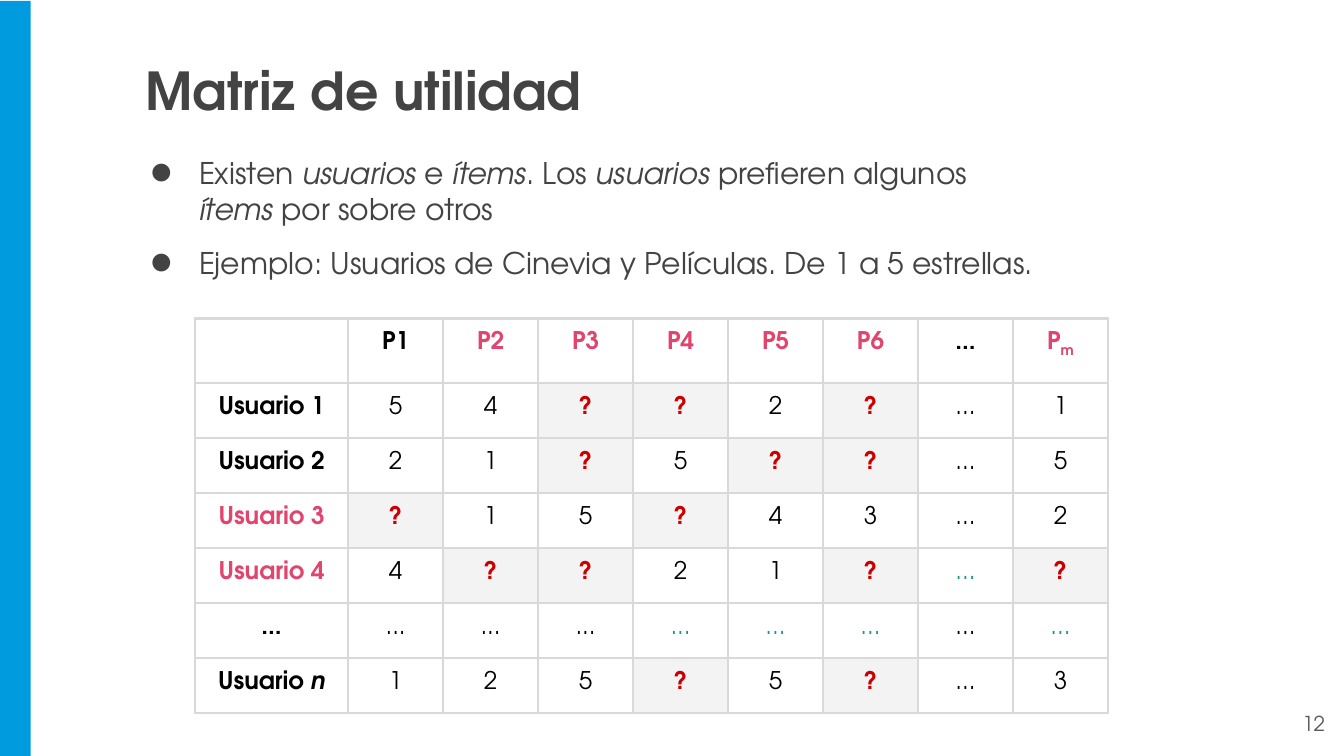
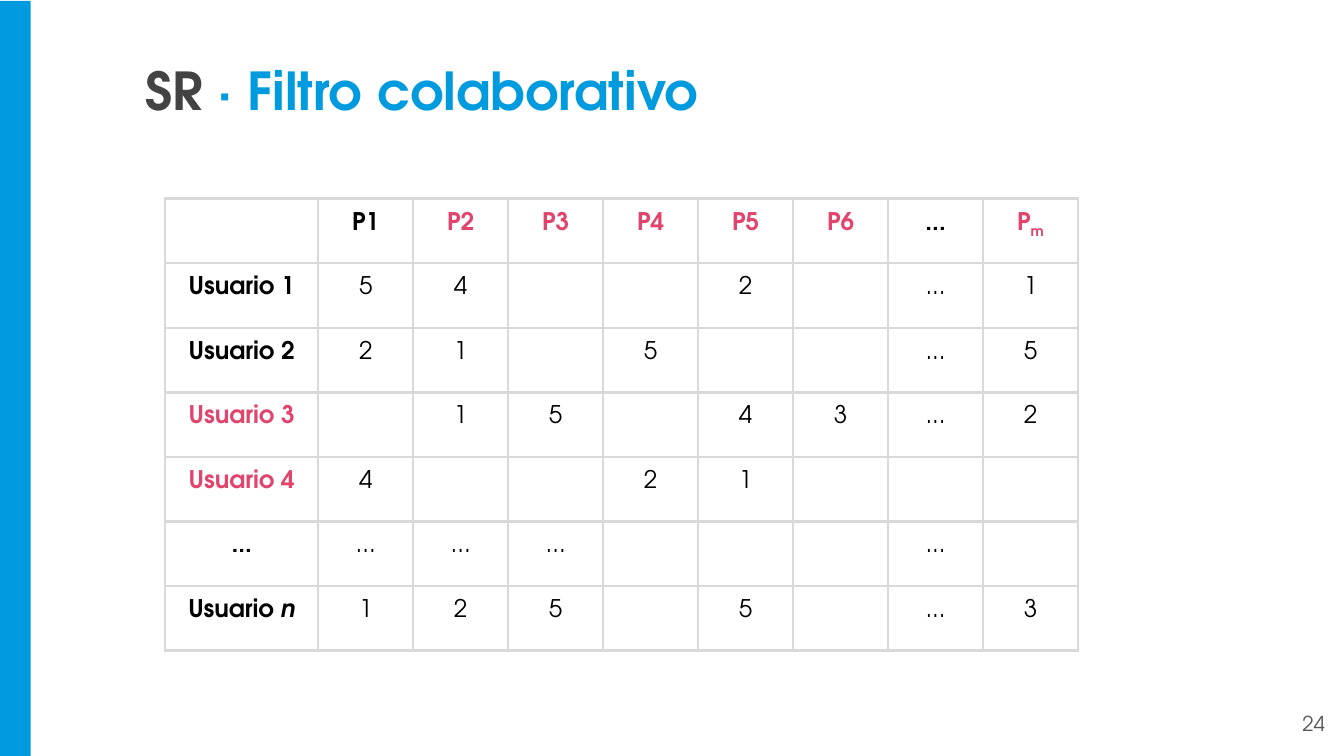
from dataclasses import dataclass

from lxml import etree
from pptx import Presentation
from pptx.dml.color import RGBColor
from pptx.enum import shapes, text
from pptx.oxml.ns import qn
from pptx.util import Pt


@dataclass(frozen=True)
class Theme:
    font: str = "TeX Gyre Adventor"
    blue: str = "009BDE"
    dark: str = "434343"
    grey: str = "595959"
    black: str = "000000"
    pink: str = "E1446D"
    red: str = "CC0000"
    teal: str = "1A9988"
    white: str = "FFFFFF"
    shade: str = "F3F3F3"
    border: str = "D9D9D9"
    title_size: int = 28
    body_size: int = 16
    cell_size: int = 13
    number_size: int = 11


theme = Theme()


def write(para, spans, size, color, bold=False):
    """Add (words, style) spans; style may hold color, italic or baseline."""
    for words, style in spans:
        span = para.add_run()
        span.text = words
        span.font.name = theme.font
        span.font.size = Pt(size)
        span.font.bold = bold
        span.font.italic = style.get("italic", False)
        span.font.color.rgb = RGBColor.from_string(style.get("color", color))
        if "baseline" in style:
            span.font._element.set("baseline", str(style["baseline"]))


def place(box, left, top, width, height):
    """Position a text shape and give it the shared margins and anchor."""
    box.left, box.top, box.width, box.height = map(Pt, (left, top, width, height))
    frame = box.text_frame
    frame.margin_left = frame.margin_right = Pt(7.2)
    frame.margin_top = frame.margin_bottom = Pt(7.2)
    frame.word_wrap = True
    frame.auto_size = text.MSO_AUTO_SIZE.NONE
    frame.vertical_anchor = text.MSO_ANCHOR.TOP
    return frame


# Content
italic = {"italic": True}
bullets = [
    [("Existen ", {}), ("usuarios", italic), (" e ", {}), ("ítems", italic),
     (". Los ", {}), ("usuarios", italic), (" prefieren algunos ", {}),
     ("ítems", italic), (" por sobre otros", {})],
    [("Ejemplo: Usuarios de Cinevia y Películas. De 1 a 5 estrellas.", {})],
]
subscript_m = [("P", {}), ("m", {"baseline": -25000})]
products = [[(name, {})] for name in ("", "P1", "P2", "P3", "P4", "P5", "P6", "...")]
products.append(subscript_m)
users = [[(name, {})] for name in ("Usuario 1", "Usuario 2", "Usuario 3", "Usuario 4", "...")]
users.append([("Usuario ", {}), ("n", italic)])
pink_products, pink_users = (2, 3, 4, 5, 6, 8), (3, 4)

# "?" is an unknown rating, "~" an ellipsis over unknown ratings
ratings = [line.split() for line in (
    "5 4 ? ? 2 ? ... 1",
    "2 1 ? 5 ? ? ... 5",
    "? 1 5 ? 4 3 ... 2",
    "4 ? ? 2 1 ? ~ ?",
    "... ... ... ~ ~ ~ ... ~",
    "1 2 5 ? 5 ? ... 3",
)]
pages = [
    dict(layout=1, number="12", title=[("Matriz de utilidad", {})], bullets=bullets,
         table_at=(104.5, 170.6), row_heights=[34.6] + [29.5] * 6, show_unknown=True),
    dict(layout=5, number="24",
         title=[("SR ", {}), ("· Filtro colaborativo", {"color": theme.blue})], bullets=[],
         table_at=(88.5, 106.4), row_heights=[34.6] * 7, show_unknown=False),
]
column_widths = [82] + [50.9] * 8

deck = Presentation()
deck.slide_width, deck.slide_height = Pt(720), Pt(405)

for index, content in enumerate(pages):
    page = deck.slides.add_slide(deck.slide_layouts[content["layout"]])

    # The side band belongs to the master, so every page shows it
    if index == 0:
        band = page.shapes.add_shape(shapes.MSO_SHAPE.RECTANGLE, 0, Pt(0.5), Pt(16.5), Pt(404.5))
        band.shadow.inherit = False
        band.fill.solid()
        band.fill.fore_color.rgb = RGBColor.from_string(theme.blue)
        band.line.fill.background()
        deck.slide_master.shapes._spTree.insert(2, band._element)

    title = place(page.shapes.title, 70.8, 23.8, 577, 46).paragraphs[0]
    title.alignment = text.PP_ALIGN.LEFT
    write(title, content["title"], theme.title_size, theme.dark, bold=True)

    number = place(page.shapes.add_textbox(0, 0, 0, 0), 674, 373.5, 43, 31).paragraphs[0]
    number.alignment = text.PP_ALIGN.RIGHT
    write(number, [(content["number"], {})], theme.number_size, theme.grey)

    if content["bullets"]:
        body = place(page.placeholders[1], 63.4, 75.6, 502, 76)
        for order, spans in enumerate(content["bullets"]):
            para = body.add_paragraph() if order else body.paragraphs[0]
            para.space_before = Pt(10 if order else 0)
            settings = para._p.get_or_add_pPr()
            settings.set("marL", str(Pt(36)))
            settings.set("indent", str(Pt(-26)))
            bullet_color = etree.SubElement(settings, qn("a:buClr"))
            etree.SubElement(bullet_color, qn("a:srgbClr"), val=theme.dark)
            etree.SubElement(settings, qn("a:buFont"), typeface=theme.font)
            etree.SubElement(settings, qn("a:buChar"), char="●")
            write(para, spans, theme.body_size, theme.dark)

    left, top = content["table_at"]
    heights = content["row_heights"]
    table = page.shapes.add_table(
        len(heights), len(column_widths), Pt(left), Pt(top),
        Pt(sum(column_widths)), Pt(sum(heights))).table
    table.first_row = table.horz_banding = False
    for column, width in zip(table.columns, column_widths):
        column.width = Pt(width)
    for row, height in zip(table.rows, heights):
        row.height = Pt(height)

    for r in range(len(heights)):
        for c in range(len(column_widths)):
            fill, color, bold = theme.white, theme.black, r == 0 or c == 0
            if r == 0:
                spans = products[c]
                color = theme.pink if c in pink_products else theme.black
            elif c == 0:
                spans = users[r - 1]
                color = theme.pink if r in pink_users else theme.black
            else:
                rating = ratings[r - 1][c - 1]
                if rating in "?~" and not content["show_unknown"]:
                    rating = ""
                elif rating == "?":
                    fill, color, bold = theme.shade, theme.red, True
                elif rating == "~":
                    rating, color = "...", theme.teal
                spans = [(rating, {})]

            cell = table.cell(r, c)
            cell.margin_left = cell.margin_right = Pt(7.2)
            cell.margin_top = cell.margin_bottom = Pt(7.2)
            properties = cell._tc.get_or_add_tcPr()
            for side in ("lnL", "lnR", "lnT", "lnB"):
                edge = etree.SubElement(properties, qn(f"a:{side}"), w=str(Pt(1.5)))
                paint = etree.SubElement(edge, qn("a:solidFill"))
                etree.SubElement(paint, qn("a:srgbClr"), val=theme.border)
            cell.fill.solid()
            cell.fill.fore_color.rgb = RGBColor.from_string(fill)

            para = cell.text_frame.paragraphs[0]
            para.alignment = text.PP_ALIGN.CENTER
            if spans[0][0]:
                write(para, spans, theme.cell_size, color, bold)
            else:
                etree.SubElement(para._p, qn("a:endParaRPr"), sz=str(theme.cell_size * 100))

deck.save("out.pptx")
